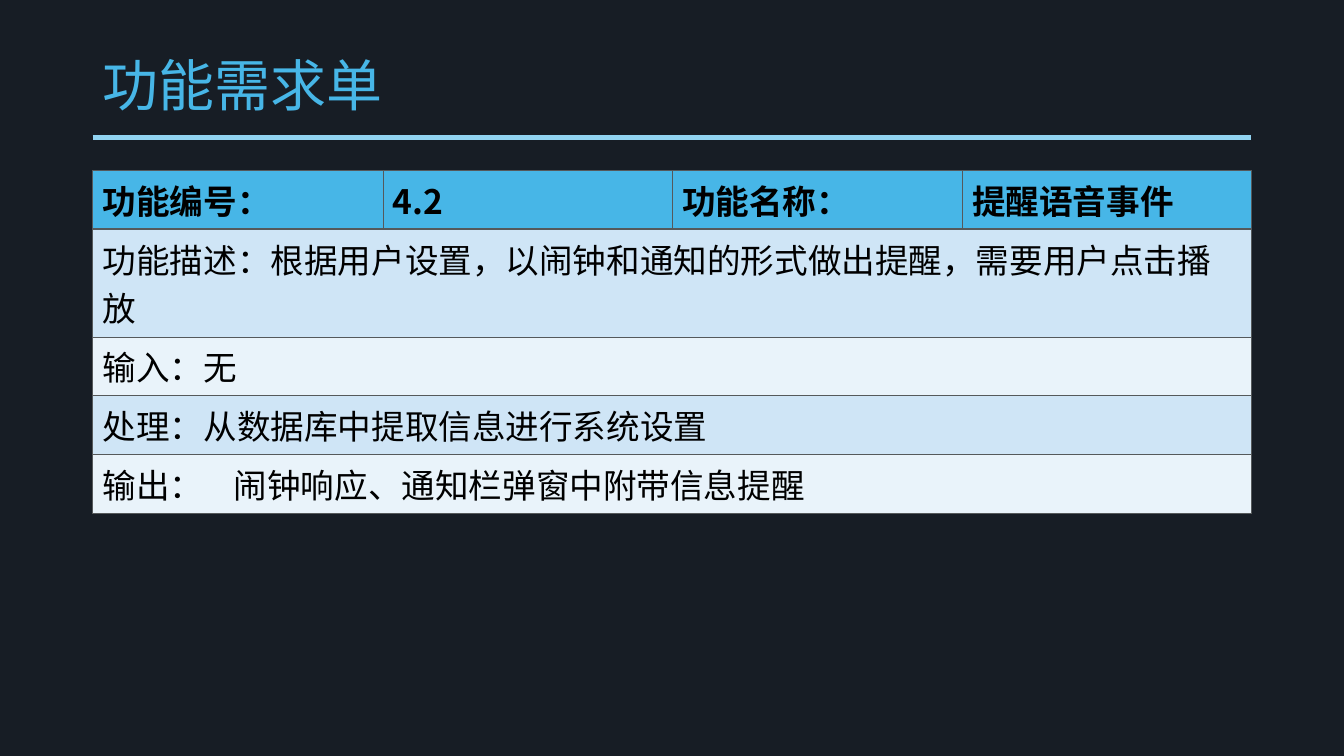
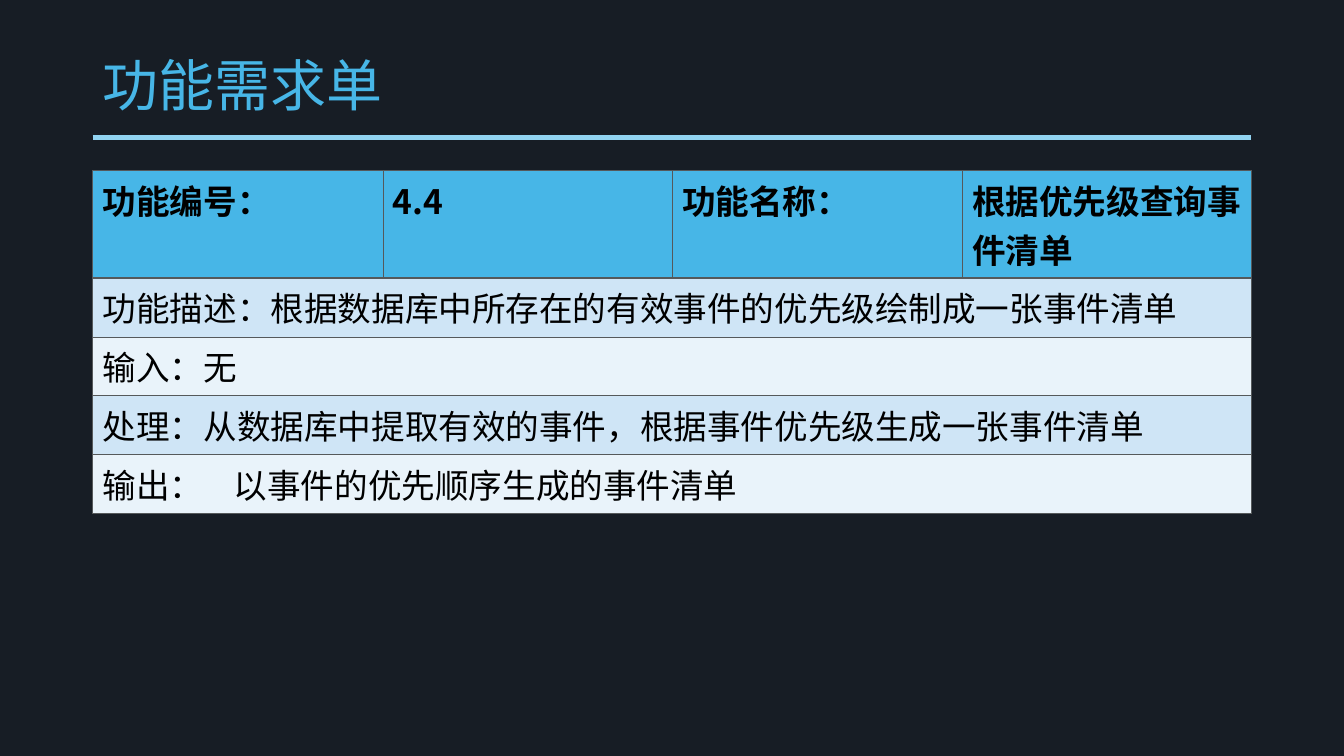
from lxml import etree
from pptx import Presentation
from pptx import util as u
from pptx.dml.color import RGBColor
from pptx.enum import shapes, text
from pptx.oxml.ns import qn

# Shared look
BACK, RULE, HEAD, EDGE = "171D25", "91D3F1", "47B6E7", "55595B"
BANDS = ["CFE5F6", "E9F3FA"]
CJK = "Noto Sans CJK SC"
LEFT, WIDE = 92, 1150
COLS = [288, 287, 288, 287]
ROW, THIN, THICK = 42, 0.45, 1.47

# Content: number, name, header height, body rows
FORMS = [
    ("4.2", "提醒语音事件", 42, [
        "功能描述：根据用户设置，以闹钟和通知的形式做出提醒，需要用户点击播放",
        "输入：无",
        "处理：从数据库中提取信息进行系统设置",
        "输出：\t闹钟响应、通知栏弹窗中附带信息提醒"]),
    ("4.4", "根据优先级查询事件清单", 80, [
        "功能描述：根据数据库中所存在的有效事件的优先级绘制成一张事件清单",
        "输入：无",
        "处理：从数据库中提取有效的事件，根据事件优先级生成一张事件清单",
        "输出：\t以事件的优先顺序生成的事件清单"]),
]


def px(n):
    return u.Emu(n * 9144)


def color(code):
    return RGBColor.from_string(code)


def paint(fill, code):
    fill.solid()
    fill.fore_color.rgb = color(code)


def style(run, size, face, code, bold=False):
    font = run.font
    font.size, font.name, font.bold = u.Pt(size), face, bold
    font.color.rgb = color(code)
    etree.SubElement(font._element, qn("a:ea"), typeface=CJK)


def add_tab(para, pos):
    props = para._p.get_or_add_pPr()
    tabs = etree.SubElement(props, qn("a:tabLst"))
    etree.SubElement(tabs, qn("a:tab"), pos=str(px(pos)), algn="l")


def add_edges(cell, top, bottom):
    props = cell._tc.get_or_add_tcPr()
    sides = {"L": THIN, "R": THIN, "T": top, "B": bottom}
    for i, (side, width) in enumerate(sides.items()):
        line = etree.Element(qn("a:ln" + side), w=str(u.Pt(width)))
        fill = etree.SubElement(line, qn("a:solidFill"))
        etree.SubElement(fill, qn("a:srgbClr"), val=EDGE)
        props.insert(i, line)


def fill_cell(cell, words, code, bold):
    cell.text_frame.text = words
    para = cell.text_frame.paragraphs[0]
    if "\t" in words:
        add_tab(para, 130)
    for run in para.runs:
        style(run, 24, CJK, "000000", bold)


def add_rule(slide, layout):
    # Drawn on a slide, then moved to the layout so that all slides share it
    rule = slide.shapes.add_connector(
        shapes.MSO_CONNECTOR.STRAIGHT,
        px(LEFT), px(136), px(LEFT + WIDE), px(136))
    rule.line.color.rgb = color(RULE)
    rule.line.width = u.Pt(3.5)
    etree.SubElement(rule._element.spPr, qn("a:effectLst"))
    layout.shapes.element.append(rule._element)


def set_base(deck):
    deck.slide_width, deck.slide_height = px(1334), px(750)
    paint(deck.slide_master.background.fill, BACK)
    layout = deck.slide_layouts.get_by_name("Title Only")
    title = layout.placeholders[0]
    title.left, title.top = px(LEFT), px(40)
    title.width, title.height = px(WIDE), px(95)
    return layout


def add_title(slide, words):
    frame = slide.shapes.title.text_frame
    frame.text = words
    frame.auto_size = text.MSO_AUTO_SIZE.NONE
    frame.vertical_anchor = text.MSO_ANCHOR.MIDDLE
    para = frame.paragraphs[0]
    para.alignment = text.PP_ALIGN.LEFT
    para.line_spacing = 0.9
    style(para.runs[0], 40, "Arial", HEAD)


def add_form(slide, code, name, tall, body):
    heights = [tall] + [ROW] * len(body)
    table = slide.shapes.add_table(
        len(heights), len(COLS), px(LEFT), px(169),
        px(WIDE), px(sum(heights))).table
    for col, width in zip(table.columns, COLS):
        col.width = px(width)

    # Fills and borders
    for r, height in enumerate(heights):
        table.rows[r].height = px(height)
        for cell in table.rows[r].cells:
            paint(cell.fill, BANDS[(r - 1) % 2] if r else HEAD)
            add_edges(cell, THICK if r == 1 else THIN,
                      THICK if r == 0 else THIN)

    # Header cells, then full-width rows
    for c, words in enumerate(["功能编号：", code, "功能名称：", name]):
        fill_cell(table.cell(0, c), words, HEAD, True)
    for r, words in enumerate(body, 1):
        first = table.cell(r, 0)
        first.merge(table.cell(r, len(COLS) - 1))
        fill_cell(first, words, HEAD, False)


def main():
    deck = Presentation()
    layout = set_base(deck)
    for form in FORMS:
        slide = deck.slides.add_slide(layout)
        add_title(slide, "功能需求单")
        add_form(slide, *form)
    add_rule(deck.slides[0], layout)
    deck.save("out.pptx")


if __name__ == "__main__":
    main()
